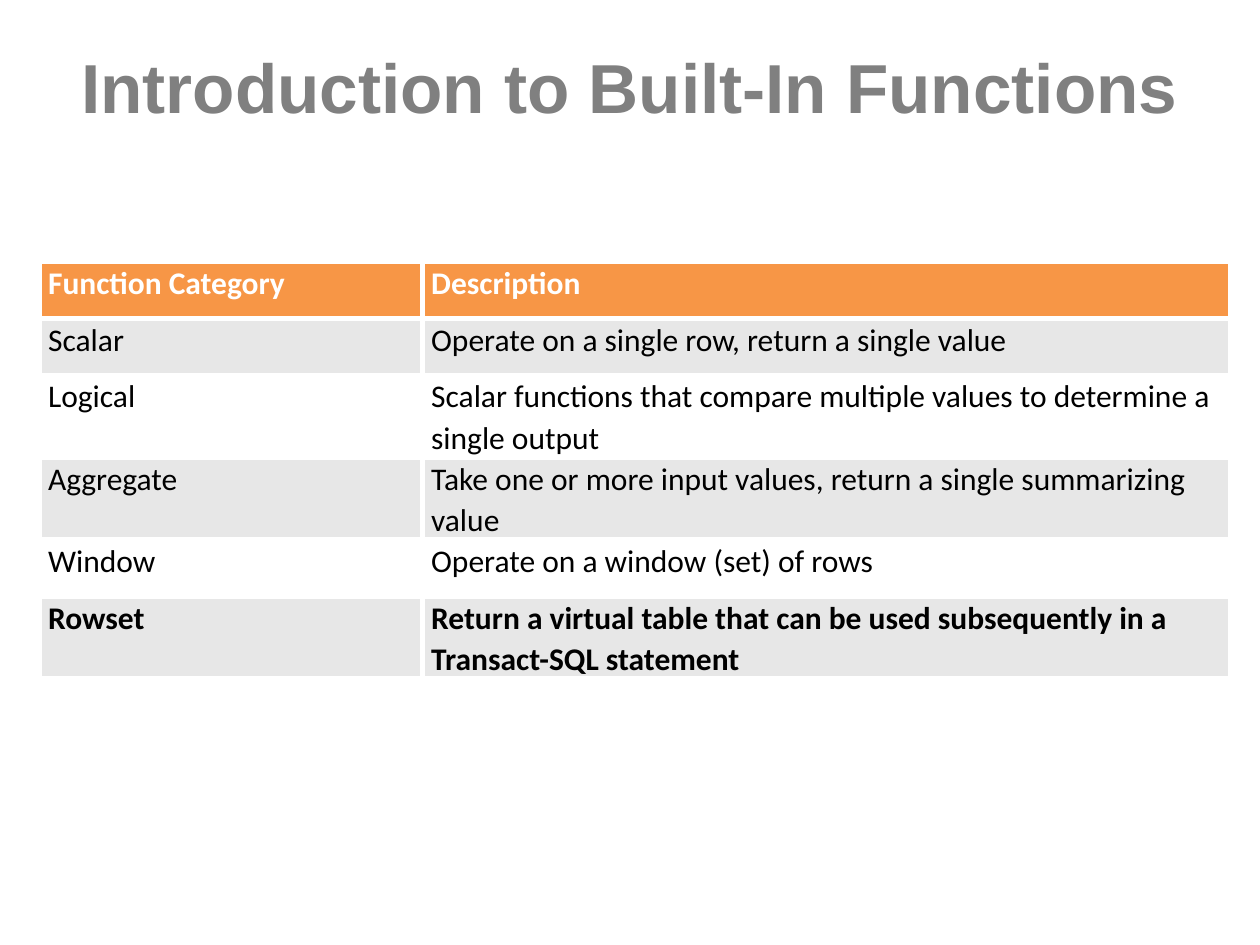
"""Build a slide with a table of built-in function categories."""
from dataclasses import dataclass

from lxml import etree
from pptx import Presentation
from pptx.dml.color import RGBColor
from pptx.enum import text
from pptx.oxml import ns
from pptx.util import Pt


@dataclass
class RowStyle:
    fill: str
    color: str = "000000"
    bold: bool = False


@dataclass
class TableRow:
    category: str
    description: str
    height: float
    style: RowStyle


HEADER = RowStyle("F79646", "FFFFFF", True)
SHADED = RowStyle("E7E7E7")
PLAIN = RowStyle("FFFFFF")
STRONG = RowStyle("E7E7E7", bold=True)
SHORT, TALL = 32.4, 45.4
COLUMN_WIDTHS = (218.9, 461.5)
ROWS = [
    TableRow("Function Category", "Description", SHORT, HEADER),
    TableRow("Scalar", "Operate on a single row, return a single value", SHORT, SHADED),
    TableRow("Logical", "Scalar functions that compare multiple values to determine a single output", TALL, PLAIN),
    TableRow("Aggregate", "Take one or more input values, return a single summarizing value", TALL, SHADED),
    TableRow("Window", "Operate on a window (set) of rows", SHORT, PLAIN),
    TableRow("Rowset", "Return a virtual table that can be used subsequently in a Transact-SQL statement", TALL, STRONG),
]


def rgb(value: str) -> RGBColor:
    return RGBColor.from_string(value)


def set_attributes(target, values: dict) -> None:
    for name, value in values.items():
        setattr(target, name, value)


def format_font(font, name: str, size: float, color: str, bold: bool) -> None:
    set_attributes(font, {"name": name, "size": Pt(size), "bold": bold})
    font.color.rgb = rgb(color)


def add_borders(cell, color: str, width: float) -> None:
    properties = cell._tc.get_or_add_tcPr()
    for position, side in enumerate(("lnL", "lnR", "lnT", "lnB")):
        line = etree.Element(ns.qn(f"a:{side}"), w=str(Pt(width)))
        fill = etree.SubElement(line, ns.qn("a:solidFill"))
        etree.SubElement(fill, ns.qn("a:srgbClr"), val=color)
        properties.insert(position, line)


def fill_cell(cell, words: str, style: RowStyle) -> None:
    set_attributes(cell, {
        "text": words, "margin_left": Pt(5), "margin_right": Pt(5),
        "margin_top": Pt(0), "margin_bottom": Pt(0),
    })
    cell.fill.solid()
    cell.fill.fore_color.rgb = rgb(style.fill)
    add_borders(cell, "FFFFFF", 3)
    paragraph = cell.text_frame.paragraphs[0]
    paragraph.line_spacing = 1.07
    format_font(paragraph.runs[0].font, "Calibri", 18, style.color, style.bold)


def add_title(slide, words: str) -> None:
    title = slide.shapes.title
    set_attributes(title, {"left": Pt(36), "top": Pt(21.6), "width": Pt(648), "height": Pt(55.4)})
    frame = title.text_frame
    set_attributes(frame, {
        "text": words, "word_wrap": True, "auto_size": text.MSO_AUTO_SIZE.NONE,
        "vertical_anchor": text.MSO_ANCHOR.MIDDLE,
    })
    paragraph = frame.paragraphs[0]
    paragraph.alignment = text.PP_ALIGN.CENTER
    format_font(paragraph.runs[0].font, "Arial", 39.6, "808080", True)


def add_function_table(slide, rows: list[TableRow]) -> None:
    frame = slide.shapes.add_table(
        len(rows), len(COLUMN_WIDTHS), Pt(22.5), Pt(149.6),
        Pt(sum(COLUMN_WIDTHS)), Pt(sum(row.height for row in rows)))
    table = frame.table
    for column, width in zip(table.columns, COLUMN_WIDTHS):
        column.width = Pt(width)
    for index, row in enumerate(rows):
        table.rows[index].height = Pt(row.height)
        for cell, words in zip(table.rows[index].cells, (row.category, row.description)):
            fill_cell(cell, words, row.style)


def main() -> None:
    presentation = Presentation()
    set_attributes(presentation, {"slide_width": Pt(720), "slide_height": Pt(540)})
    slide = presentation.slides.add_slide(presentation.slide_layouts.get_by_name("Title Only"))
    add_title(slide, "Introduction to Built-In Functions")
    add_function_table(slide, ROWS)
    presentation.save("out.pptx")


if __name__ == "__main__":
    main()
